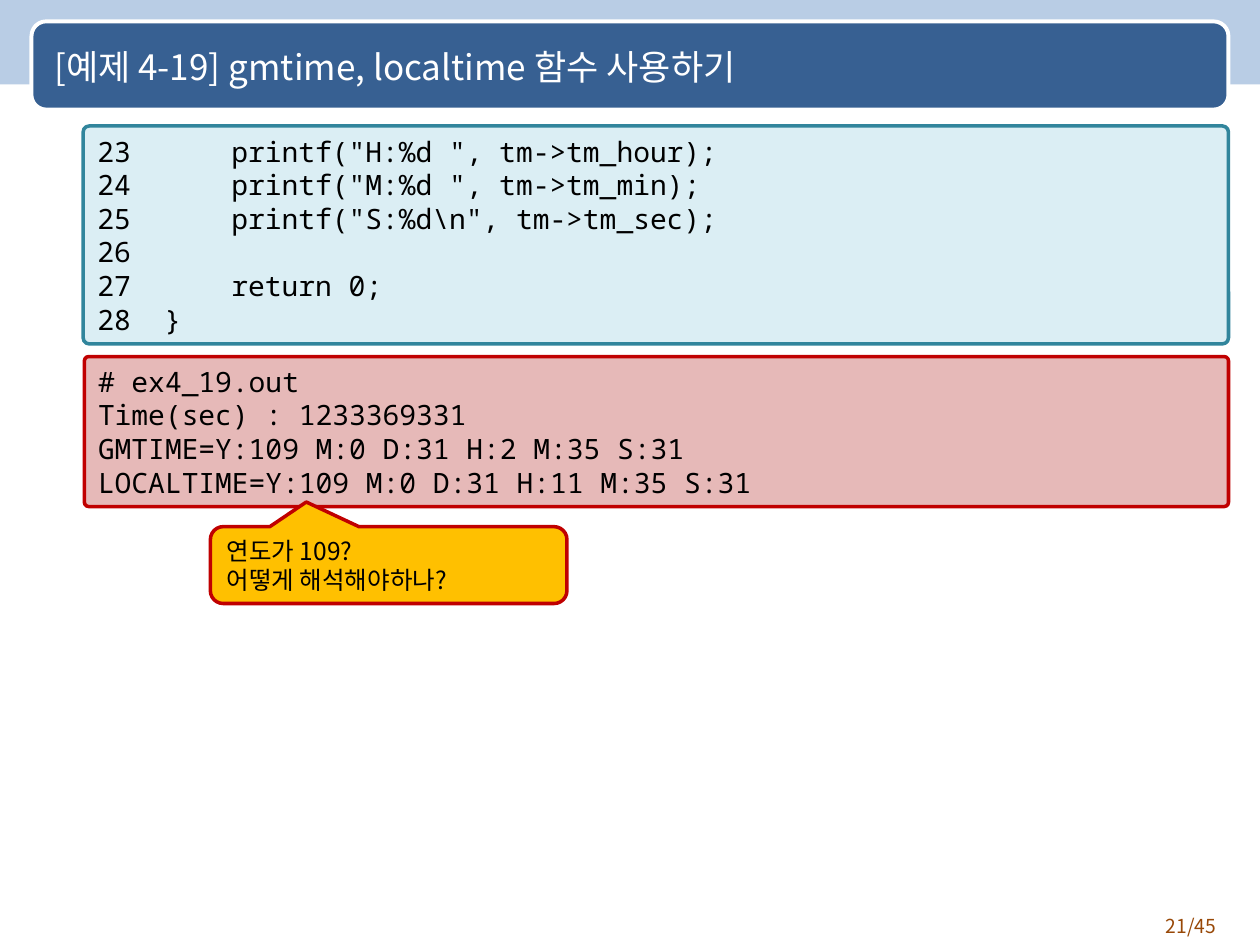
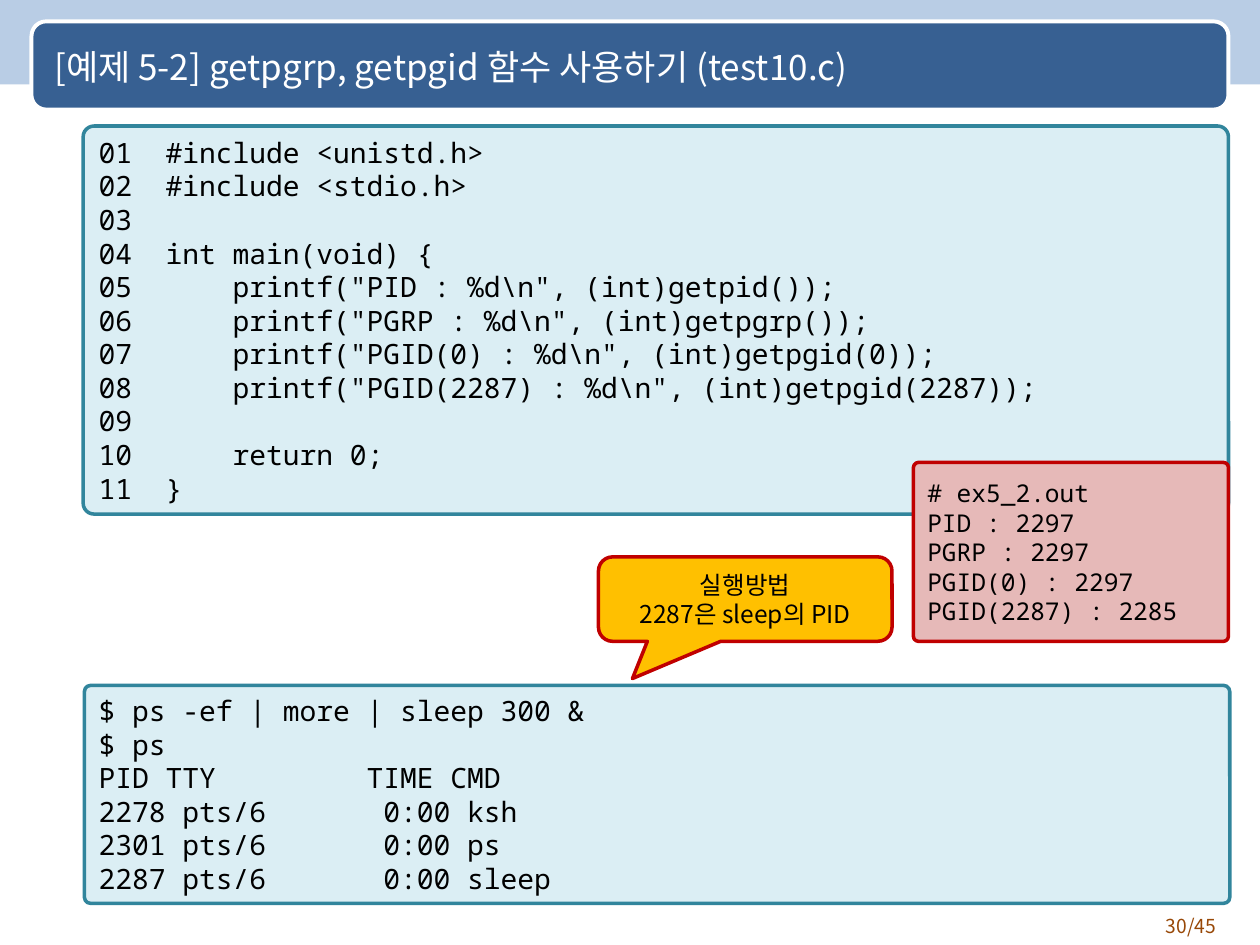
from pptx import Presentation
from pptx.dml.color import RGBColor
from pptx.enum.shapes import MSO_SHAPE as SHAPE
from pptx.enum.text import MSO_ANCHOR as ANCHOR, MSO_AUTO_SIZE as AUTO, PP_ALIGN as ALIGN
from pptx.oxml.ns import qn
from pptx.util import Inches, Pt
from lxml import etree

# Shared colours and fonts
BAND = RGBColor(0xB9, 0xCD, 0xE5)
NAVY = RGBColor(0x37, 0x60, 0x92)
WHITE = RGBColor(0xFF, 0xFF, 0xFF)
BLACK = RGBColor(0x00, 0x00, 0x00)
PALE_TEAL = RGBColor(0xDB, 0xEE, 0xF4)
TEAL = RGBColor(0x31, 0x85, 0x9C)
PINK = RGBColor(0xE6, 0xB9, 0xB8)
RED = RGBColor(0xC0, 0x00, 0x00)
AMBER = RGBColor(0xFF, 0xC0, 0x00)
BROWN = RGBColor(0x98, 0x48, 0x07)
SANS = "Noto Sans CJK KR"
MONO = "Noto Sans Mono"

PAGE_COUNT = 45
CODE_STYLE = (PALE_TEAL, TEAL)
OUTPUT_STYLE = (PINK, RED)

# Slide texts
TIME_CODE = r"""
23      printf("H:%d ", tm->tm_hour);
24      printf("M:%d ", tm->tm_min);
25      printf("S:%d\n", tm->tm_sec);
26
27      return 0;
28  }
"""
TIME_OUTPUT = """
# ex4_19.out
Time(sec) : 1233369331
GMTIME=Y:109 M:0 D:31 H:2 M:35 S:31
LOCALTIME=Y:109 M:0 D:31 H:11 M:35 S:31
"""
GROUP_CODE = r"""
01  #include <unistd.h>
02  #include <stdio.h>
03
04  int main(void) {
05      printf("PID : %d\n", (int)getpid());
06      printf("PGRP : %d\n", (int)getpgrp());
07      printf("PGID(0) : %d\n", (int)getpgid(0));
08      printf("PGID(2287) : %d\n", (int)getpgid(2287));
09
10      return 0;
11  }
"""
GROUP_OUTPUT = """
# ex5_2.out
PID : 2297
PGRP : 2297
PGID(0) : 2297
PGID(2287) : 2285
"""
SHELL_SESSION = """
$ ps -ef | more | sleep 300 &
$ ps
PID TTY         TIME CMD
2278 pts/6       0:00 ksh
2301 pts/6       0:00 ps
2287 pts/6       0:00 sleep
"""


def write(shape, text, size=16, font=SANS, color=BLACK, align=ALIGN.LEFT, anchor=ANCHOR.MIDDLE):
    """Fill a shape with one paragraph per line of text."""
    tf = shape.text_frame
    tf.word_wrap = True
    tf.auto_size = AUTO.NONE
    tf.vertical_anchor = anchor
    for i, line in enumerate(text.strip().split("\n")):
        p = tf.add_paragraph() if i else tf.paragraphs[0]
        p.alignment = align
        r = p.add_run()
        r.text = line
        r.font.size = Pt(size)
        r.font.name = font
        r.font.color.rgb = color
        # East Asian glyphs need their own typeface entry
        etree.SubElement(r.font._element, qn("a:ea"), typeface=font)


def add_box(s, kind, box, fill, line=None, width=2, adjust=()):
    sp = s.shapes.add_shape(kind, *map(Inches, box))
    sp.shadow.inherit = False
    sp.fill.solid()
    sp.fill.fore_color.rgb = fill
    if line is None:
        sp.line.fill.background()
    else:
        sp.line.color.rgb = line
        sp.line.width = Pt(width)
    for i, value in enumerate(adjust):
        sp.adjustments[i] = value
    return sp


def add_panel(s, box, text, style, size=16):
    """Rounded panel with code or program output."""
    sp = add_box(s, SHAPE.ROUNDED_RECTANGLE, box, *style, adjust=[0.028])
    write(sp, text, size=size, font=MONO, align=ALIGN.JUSTIFY)


def add_callout(s, box, tip, text, align=ALIGN.LEFT):
    """Speech bubble; tip is the pointer end relative to the box centre."""
    sp = add_box(s, SHAPE.ROUNDED_RECTANGULAR_CALLOUT, box, AMBER, RED, adjust=[*tip, 0.167])
    write(sp, text, size=14, align=align)


def add_base_slide(prs, title_text, page):
    """Slide with header band, title bar and page number."""
    s = prs.slides.add_slide(prs.slide_layouts[5])
    add_box(s, SHAPE.RECTANGLE, (-0.01, 0, 10.02, 0.67), BAND)
    add_box(s, SHAPE.ROUNDED_RECTANGLE, (0.25, 0.17, 9.5, 0.7), NAVY, WHITE, 2.25, [0.167])

    number = s.shapes.add_textbox(*map(Inches, (8.92, 7.21, 0.83, 0.29)))
    write(number, f"{page}/{PAGE_COUNT}", size=11, color=BROWN, align=ALIGN.RIGHT, anchor=ANCHOR.TOP)

    title = s.shapes.title
    title.left, title.top, title.width, title.height = map(Inches, (0.33, 0.19, 9.25, 0.67))
    write(title, title_text, size=20, color=WHITE)
    # Bring the title in front of its bar
    title.element.getparent().append(title.element)
    return s


def add_time_slide(prs):
    s = add_base_slide(prs, "[예제 4-19] gmtime, localtime 함수 사용하기", 21)
    add_panel(s, (0.66, 1, 9.09, 1.73), TIME_CODE, CODE_STYLE)
    add_panel(s, (0.67, 2.83, 9.08, 1.19), TIME_OUTPUT, OUTPUT_STYLE)
    add_callout(s, (1.67, 4.18, 2.83, 0.61), (-0.231, -0.821), "연도가 109?\n어떻게 해석해야하나?")


def add_group_slide(prs):
    s = add_base_slide(prs, "[예제 5-2] getpgrp, getpgid 함수 사용하기 (test10.c)", 30)
    add_panel(s, (0.66, 1, 9.09, 3.08), GROUP_CODE, CODE_STYLE)
    add_panel(s, (7.25, 3.67, 2.5, 1.42), GROUP_OUTPUT, OUTPUT_STYLE, size=14)
    add_panel(s, (0.67, 5.44, 9.09, 1.73), SHELL_SESSION, CODE_STYLE)
    add_callout(s, (4.75, 4.42, 2.33, 0.67), (-0.384, 0.941),
                "실행방법\n2287은 sleep의 PID", align=ALIGN.CENTER)


def main():
    prs = Presentation()
    prs.slide_width, prs.slide_height = Inches(10), Inches(7.5)
    add_time_slide(prs)
    add_group_slide(prs)
    prs.save("out.pptx")


if __name__ == "__main__":
    main()
